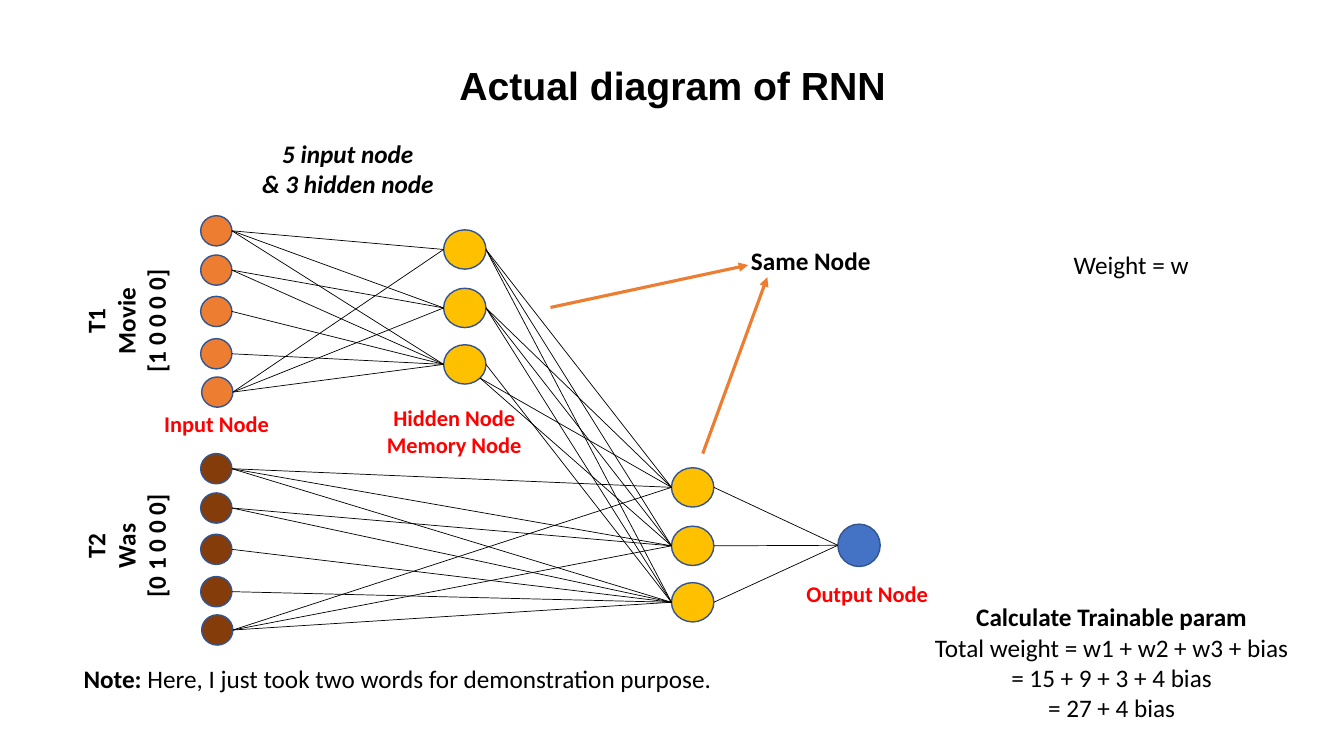
"""Builds a slide that shows a recurrent neural network unrolled over two time steps."""
from lxml import etree
from pptx import Presentation
from pptx.dml.color import RGBColor
from pptx.enum.shapes import MSO_CONNECTOR as CONNECTOR, MSO_SHAPE as SHAPE
from pptx.enum.text import MSO_ANCHOR as ANCHOR, MSO_AUTO_SIZE as AUTO_SIZE, PP_ALIGN as ALIGN
from pptx.oxml.ns import qn
from pptx.util import Inches, Pt

COLORS = {
    "black": "000000", "red": "FF0000", "outline": "325491",
    "orange": "ED7D31", "brown": "843C0B", "gold": "FFC000", "blue": "4472C4",
}
INPUT_OFFSETS = [(0, 0), (0, 0.39), (0, 0.8), (0, 1.22), (0.01, 1.6)]
HIDDEN_OFFSETS = [0, 0.58, 1.14]
INPUT_LINKS = [(0, 1, 2), (1, 2), (2,), (2,), (0, 1, 2)]
INPUT_WIDTH, INPUT_HEIGHT = 0.31, 0.3
HIDDEN_WIDTH, HIDDEN_HEIGHT = 0.42, 0.39

presentation = Presentation()
presentation.slide_width = Inches(13.33)
presentation.slide_height = Inches(7.5)
slide = presentation.slides.add_slide(presentation.slide_layouts[5])


def add_text(text, left, top, width, height, size=18, color="black", bold=True,
             italic=False, align=ALIGN.LEFT, rotation=0):
    """Adds a text box; a line break parts paragraphs and a bar parts runs."""
    box = slide.shapes.add_textbox(Inches(left), Inches(top), Inches(width), Inches(height))
    box.rotation = rotation
    frame = box.text_frame
    frame.word_wrap = False
    frame.auto_size = AUTO_SIZE.SHAPE_TO_FIT_TEXT
    for index, line in enumerate(text.split("\n")):
        paragraph = frame.add_paragraph() if index else frame.paragraphs[0]
        paragraph.alignment = align
        for piece in line.split("|"):
            run = paragraph.add_run()
            run.text = piece
            run.font.name = "Calibri"
            run.font.size = Pt(size)
            run.font.bold = bold
            run.font.italic = italic
            run.font.color.rgb = RGBColor.from_string(COLORS[color])
    return frame


def add_line(start, end, color="black", weight=0.5, arrow=False):
    """Adds a straight line between two points, with an arrowhead if asked."""
    points = [Inches(value) for value in (*start, *end)]
    connector = slide.shapes.add_connector(CONNECTOR.STRAIGHT, *points)
    connector.line.color.rgb = RGBColor.from_string(COLORS[color])
    connector.line.width = Pt(weight)
    if arrow:
        etree.SubElement(connector.line._get_or_add_ln(), qn("a:tailEnd"), type="triangle")
    etree.SubElement(connector._element.spPr, qn("a:effectLst"))


title = slide.shapes.title
title.left, title.top = Inches(0.92), Inches(0.4)
title.width, title.height = Inches(11.5), Inches(0.94)
title.text_frame.text = "Actual diagram of RNN"
title.text_frame.auto_size = AUTO_SIZE.NONE
title.text_frame.vertical_anchor = ANCHOR.MIDDLE
title_paragraph = title.text_frame.paragraphs[0]
title_paragraph.alignment = ALIGN.CENTER
title_paragraph.line_spacing = 0.9
title_paragraph.font.name = "Arial"
title_paragraph.font.size = Pt(28)
title_paragraph.font.bold = True
title_paragraph.font.color.rgb = RGBColor.from_string(COLORS["black"])

nodes = []
lines = []
hidden_layers = []
for step_top, hidden_left, input_color in [(2.14, 4.4, "orange"), (4.5, 6.66, "brown")]:
    hidden_tops = [step_top + 0.14 + offset for offset in HIDDEN_OFFSETS]
    hidden_entries = [(hidden_left, top + HIDDEN_HEIGHT / 2) for top in hidden_tops]
    hidden_layers.append(hidden_entries)
    for top in hidden_tops:
        nodes.append((hidden_left, top, HIDDEN_WIDTH, HIDDEN_HEIGHT, "gold"))
    for (shift, offset), targets in zip(INPUT_OFFSETS, INPUT_LINKS):
        left, top = 1.99 + shift, step_top + offset
        nodes.append((left, top, INPUT_WIDTH, INPUT_HEIGHT, input_color))
        input_exit = (left + INPUT_WIDTH, top + INPUT_HEIGHT / 2)
        lines += [(input_exit, hidden_entries[target]) for target in targets]

first_layer, second_layer = hidden_layers
for source, (left, middle) in enumerate(first_layer):
    for target, entry in enumerate(second_layer):
        lower_exit = source == 2 and target < 2
        hidden_exit = (4.76, 3.75) if lower_exit else (left + HIDDEN_WIDTH, middle)
        lines.append((hidden_exit, entry))

nodes.append((8.31, 5.2, 0.42, 0.42, "blue"))
lines += [((left + HIDDEN_WIDTH, middle), (8.31, 5.41)) for left, middle in second_layer]

for left, top, width, height, color in nodes:
    node = slide.shapes.add_shape(SHAPE.OVAL, Inches(left), Inches(top), Inches(width), Inches(height))
    node.shadow.inherit = False
    node.fill.solid()
    node.fill.fore_color.rgb = RGBColor.from_string(COLORS[color])
    node.line.color.rgb = RGBColor.from_string(COLORS["outline"])
    node.line.width = Pt(1)
for start, end in lines:
    add_line(start, end)
for start, end in [((5.46, 3.05), (7.42, 2.63)), ((6.97, 4.5), (7.61, 2.75))]:
    add_line(start, end, color="orange", weight=2.25, arrow=True)

add_text("T1\nMovie\n[1 0 0 0 0]", 0.63, 2.68, 1.24, 1.01, align=ALIGN.CENTER, rotation=270)
add_text("T2\nWas\n[0 1 0 0 0]", 0.63, 4.91, 1.24, 1.01, align=ALIGN.CENTER, rotation=270)
add_text("5 input node\n& 3 hidden node", 2.49, 1.32, 1.92, 0.71, italic=True, align=ALIGN.CENTER)
add_text("Same Node", 7.35, 2.38, 1.4, 0.4)
add_text("Weight = w", 10.55, 2.42, 1.36, 0.4, bold=False)
add_text("Input Node", 1.53, 4.02, 1.25, 0.37, size=16, color="red")
add_text("Hidden Node\nMemory Node", 3.73, 3.96, 1.55, 0.64, size=16, color="red", align=ALIGN.CENTER)
add_text("Output Node", 7.9, 5.71, 1.42, 0.37, size=16, color="red")
note = add_text("Note: |Here, I just took two words for demonstration purpose.",
                0.73, 6.53, 6.49, 0.4, bold=False)
calculation = add_text(
    "Calculate Trainable param\nTotal weight = w1 + w2 + w3 + bias\n= 15 + 9 + 3 + 4 bias\n= 27 + 4 bias",
    9.15, 5.92, 3.75, 1.31, bold=False, align=ALIGN.CENTER)
for frame in (note, calculation):
    frame.paragraphs[0].runs[0].font.bold = True

presentation.save("out.pptx")
